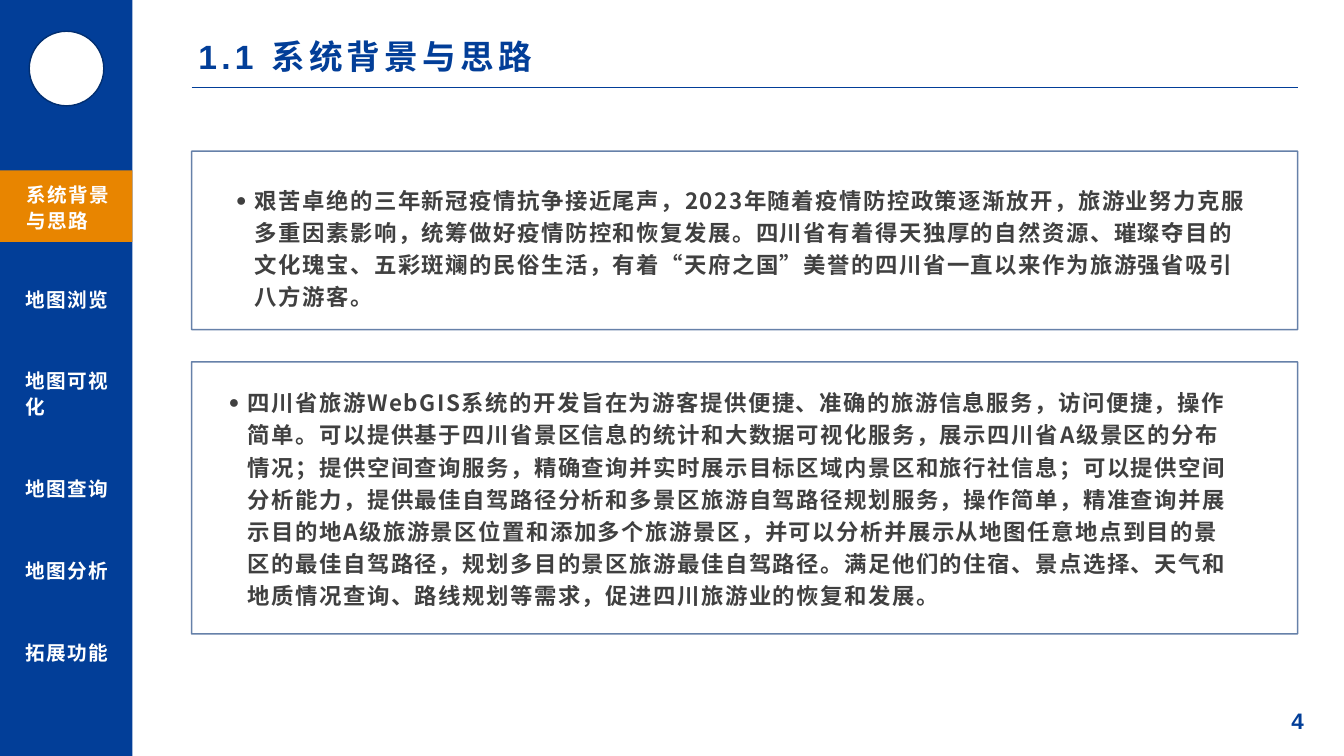
from dataclasses import dataclass
from pptx import Presentation
from pptx import util as u
from pptx.dml.color import RGBColor
from pptx.enum import lang, shapes, text
from pptx.oxml import parse_xml
from pptx.oxml.ns import nsdecls, qn
from lxml import etree


@dataclass(frozen=True)
class Theme:
    """Colours, typefaces and type sizes of the deck."""
    blue: str = "023E98"
    navy: str = "012E70"
    orange: str = "E88500"
    white: str = "FFFFFF"
    ink: str = "404040"
    latin: str = "Arial"
    chinese: str = "Noto Sans CJK SC"
    title: int = 24
    body: int = 16
    menu: int = 14


@dataclass(frozen=True)
class Box:
    """A rectangle measured in grid columns and rows."""
    left: float
    top: float
    width: float
    height: float

    def inner(self, left, top, width, height):
        """Return a box placed relative to this one."""
        return Box(self.left + left, self.top + top, width, height)

    def lengths(self):
        """Return the box as slide lengths."""
        return [u.Emu(round(cells * CELL)) for cells in (self.left, self.top, self.width, self.height)]


THEME = Theme()
COLUMNS, ROWS = 128, 72
WIDTH, HEIGHT = u.Inches(13.33), u.Inches(7.5)
CELL = HEIGHT / ROWS
TITLE = "1.1 系统背景与思路"
ACTIVE = "系统背景与思路"
MENU = [("地图浏览", 1), ("地图可视化", 2), ("地图查询", 1), ("地图分析", 1), ("拓展功能", 1)]
BACKGROUND = (
    "艰苦卓绝的三年新冠疫情抗争接近尾声，2023年随着疫情防控政策逐渐放开，旅游业努力克服多重因素影响，"
    "统筹做好疫情防控和恢复发展。四川省有着得天独厚的自然资源、璀璨夺目的文化瑰宝、五彩斑斓的民俗生活，"
    "有着“天府之国”美誉的四川省一直以来作为旅游强省吸引八方游客。"
)
APPROACH = (
    "四川省旅游WebGIS系统的开发旨在为游客提供便捷、准确的旅游信息服务，访问便捷，操作简单。"
    "可以提供基于四川省景区信息的统计和大数据可视化服务，展示四川省A级景区的分布情况；"
    "提供空间查询服务，精确查询并实时展示目标区域内景区和旅行社信息；"
    "可以提供空间分析能力，提供最佳自驾路径分析和多景区旅游自驾路径规划服务，操作简单，"
    "精准查询并展示目的地A级旅游景区位置和添加多个旅游景区，并可以分析并展示从地图任意地点到目的景区的最佳自驾路径，"
    "规划多目的景区旅游最佳自驾路径。满足他们的住宿、景点选择、天气和地质情况查询、路线规划等需求，"
    "促进四川旅游业的恢复和发展。"
)


def add_shape(page, box, kind=shapes.MSO_SHAPE.RECTANGLE, fill=None, line=None):
    """Draw a flat preset shape with optional fill and outline."""
    shape = page.shapes.add_shape(kind, *box.lengths())
    shape.shadow.inherit = False
    if fill:
        shape.fill.solid()
        shape.fill.fore_color.rgb = RGBColor.from_string(fill)
    else:
        shape.fill.background()
    if line:
        shape.line.color.rgb = RGBColor.from_string(line)
        shape.line.width = u.Pt(1)
    else:
        shape.line.fill.background()
    return shape


def add_text(page, box, words, size, color, face=THEME.latin, spacing=0, leading=1.0):
    """Write one bold paragraph in a wrapping box and return its frame and paragraph."""
    frame = page.shapes.add_textbox(*box.lengths()).text_frame
    frame.word_wrap = True
    frame.text = words
    para = frame.paragraphs[0]
    para.line_spacing = leading
    span = para.runs[0]
    span.font.size, span.font.bold, span.font.name = u.Pt(size), True, face
    span.font.color.rgb = RGBColor.from_string(color)
    span.font.language_id = lang.MSO_LANGUAGE_ID.SIMPLIFIED_CHINESE
    marks = span.font._element
    marks.set("spc", str(round(spacing * 100)))
    etree.SubElement(marks, qn("a:ea")).set("typeface", THEME.chinese)
    return frame, para


def add_menu_item(page, box, words):
    """Write one white menu label."""
    add_text(page, box, words, THEME.menu, THEME.white, spacing=1.1, leading=1.1)


def add_sidebar(page, box):
    """Build the blue sidebar with its disc, active section and menu."""
    add_shape(page, box, fill=THEME.blue)
    add_shape(page, box.inner(2.78, 2.98, 7.1, 7.1), shapes.MSO_SHAPE.OVAL, THEME.white, THEME.navy)
    active = box.inner(0, 16.22, box.width, 6.82)
    add_shape(page, active, fill=THEME.orange)
    add_menu_item(page, active.inner(1.54, 0.48, 10.56, 5.95), ACTIVE)
    top, gap, one_line, extra_line = 26.69, 4.32, 3.46, 2.49
    for words, lines in MENU:
        height = one_line + extra_line * (lines - 1)
        add_menu_item(page, box.inner(1.44, top, 10.56, height), words)
        top += height + gap


def add_header(page, box):
    """Write the page title above a thin rule."""
    add_text(page, box.inner(-0.29, 0, 64, 4.8), TITLE, THEME.title, THEME.blue, spacing=3)
    left, top, width, height = box.lengths()
    rule = page.shapes.add_connector(
        shapes.MSO_CONNECTOR.STRAIGHT, left, top + height, left + width, top + height)
    rule.line.color.rgb = RGBColor.from_string(THEME.blue)
    rule.line.width = u.Pt(0.5)
    etree.SubElement(rule._element.spPr, qn("a:effectLst"))


def add_panel(page, box, words, indent, drop):
    """Frame one bulleted paragraph with a translucent outline."""
    area = box.inner(indent, drop, 98.3, box.height - 2 * drop)
    frame, para = add_text(
        page, area, words, THEME.body, THEME.ink, THEME.chinese, spacing=1.1, leading=1.2)
    layout = para._p.get_or_add_pPr()
    hang = u.Inches(0.19)
    layout.set("marL", str(hang))
    layout.set("indent", str(-hang))
    for tag in ('buSzPct {} val="80000"', 'buFont {} typeface="Arial"', 'buChar {} char="●"'):
        layout.append(parse_xml("<a:" + tag.format(nsdecls("a")) + "/>"))
    outline = add_shape(page, box, line=THEME.navy)
    tint = outline.line._ln.find(".//" + qn("a:srgbClr"))
    etree.SubElement(tint, qn("a:alpha")).set("val", "60000")


def add_page_number(page, box, number):
    """Centre the page number in its box."""
    frame, para = add_text(page, box, str(number), THEME.body, THEME.blue)
    frame.vertical_anchor = text.MSO_ANCHOR.MIDDLE
    para.alignment = text.PP_ALIGN.CENTER


def main():
    """Assemble the slide and save the deck."""
    deck = Presentation()
    deck.slide_width, deck.slide_height = WIDTH, HEIGHT
    page = deck.slides.add_slide(deck.slide_layouts[6])
    content = Box(18.24, 0, 105.31, ROWS)
    add_sidebar(page, Box(0, 0, 12.6, ROWS))
    add_header(page, content.inner(0, 2.98, content.width, 5.37))
    add_panel(page, content.inner(0, 14.4, content.width, 17), BACKGROUND, 3.26, 2.4)
    add_panel(page, content.inner(0, 34.46, content.width, 25.92), APPROACH, 2.59, 1.63)
    add_page_number(page, Box(COLUMNS - 8.19, 66.72, 7.49, 3.84), 4)
    deck.save("out.pptx")


if __name__ == "__main__":
    main()
